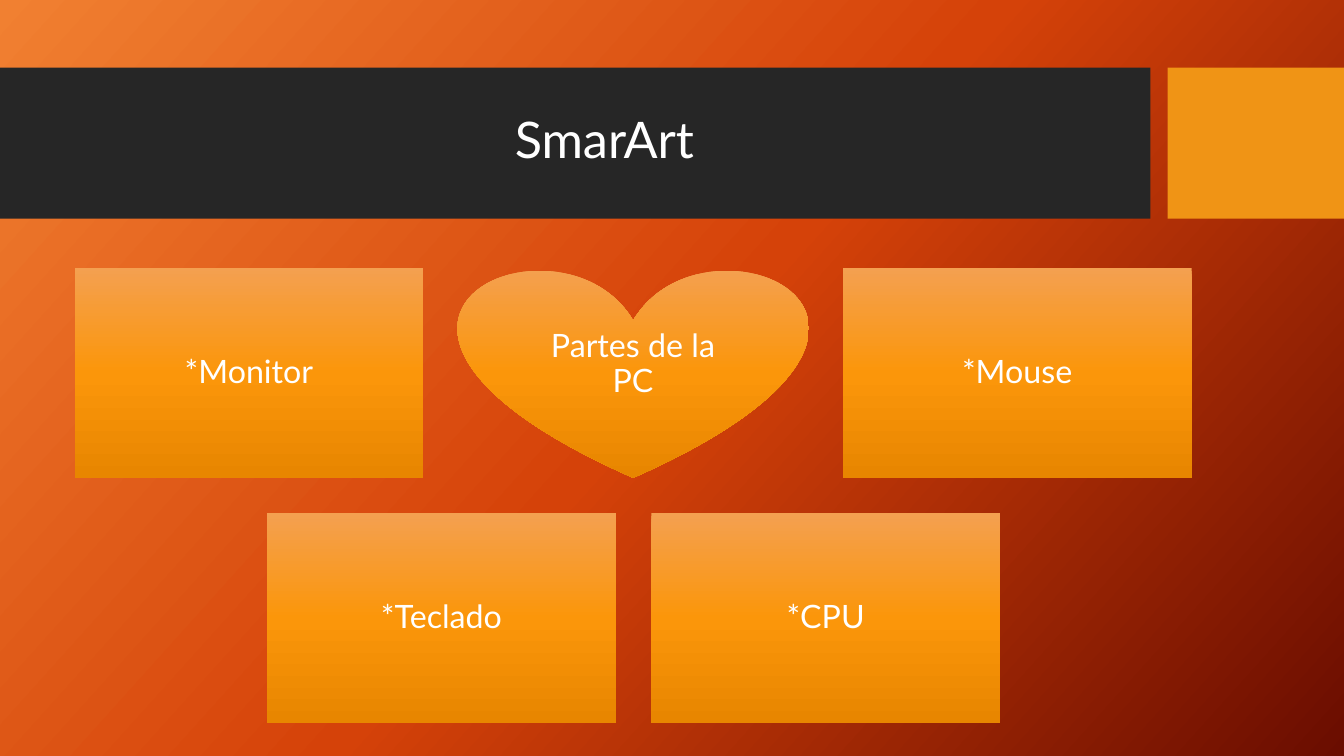
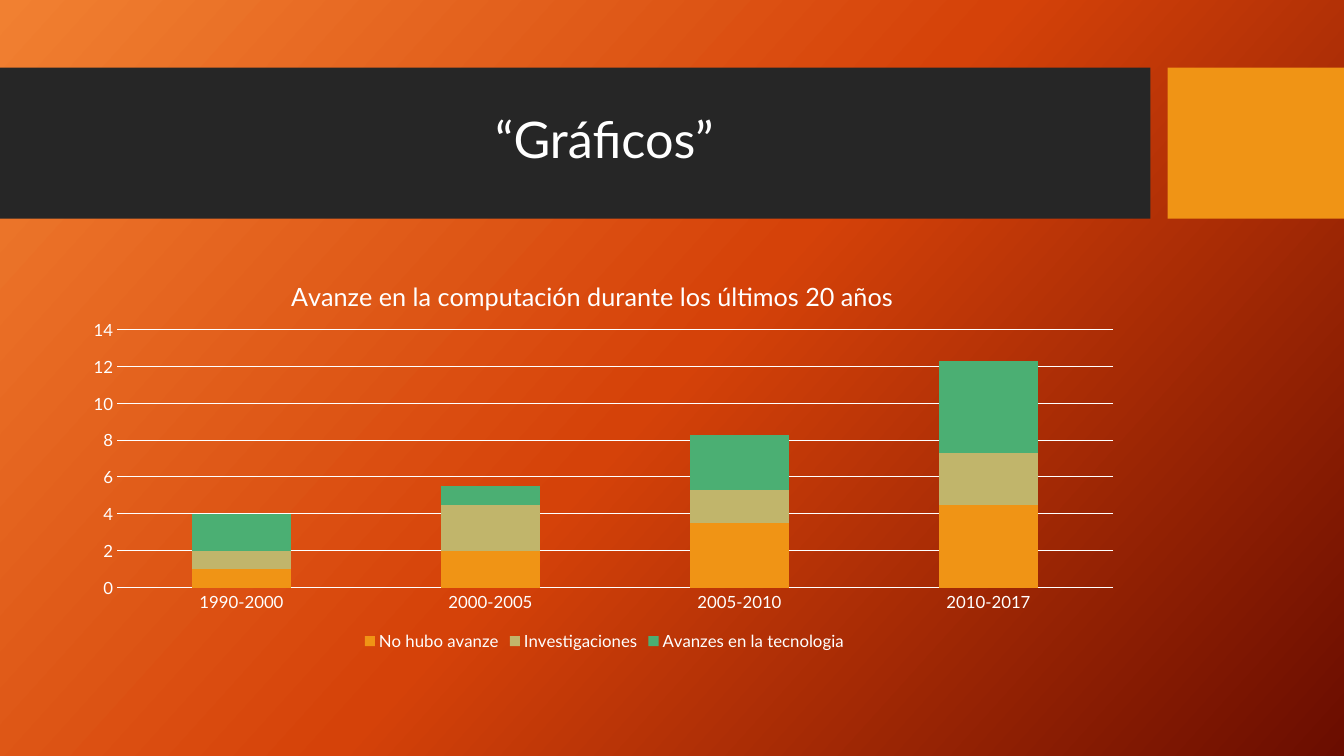
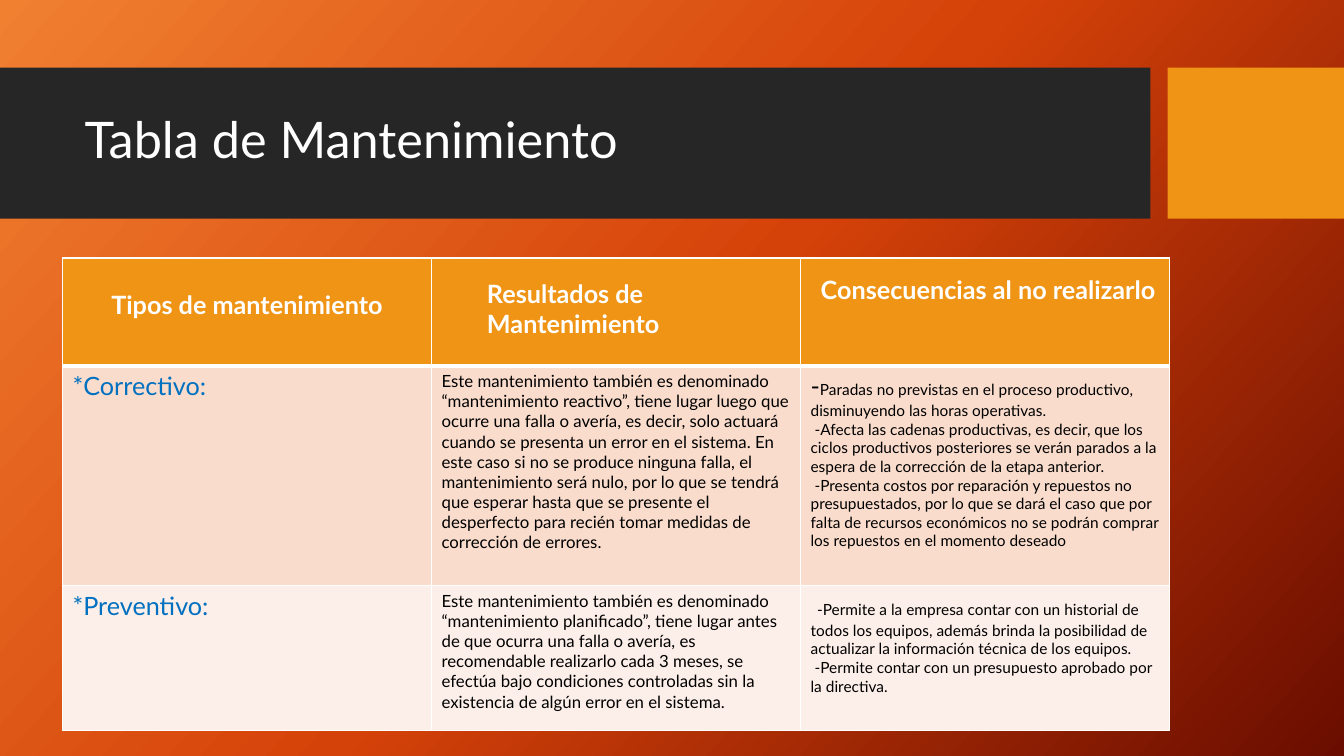
"""Build three slides on computer parts, progress in computing and maintenance."""
import dataclasses

import lxml.etree
import pptx
import pptx.chart.data
import pptx.dml.color
import pptx.enum.chart
import pptx.enum.shapes
import pptx.enum.text
import pptx.oxml.ns
import pptx.util

Inches = pptx.util.Inches
Pt = pptx.util.Pt
qn = pptx.oxml.ns.qn
SHAPE = pptx.enum.shapes.MSO_SHAPE
ALIGN = pptx.enum.text.PP_ALIGN
ANCHOR = pptx.enum.text.MSO_ANCHOR


@dataclasses.dataclass(frozen=True)
class Theme:
    font: str = "Lato"
    white: str = "FFFFFF"
    black: str = "000000"
    band: str = "262626"
    accent: str = "F09415"
    label: str = "0070C0"
    series: tuple = ("F09415", "C1B56B", "4BAF73")
    rows: tuple = ("F9DCCC", "FCEEE8")
    backdrop: tuple = ("F18031", "D54209", "6A0D00")
    card: tuple = ("F4A050", "FB960A", "E88600")
    title_size: float = 36
    card_size: float = 23
    heading_size: float = 18
    text_size: float = 12
    small_size: float = 11


def rgb(value):
    return pptx.dml.color.RGBColor.from_string(value)


def sub(parent, tag, **attrs):
    return lxml.etree.SubElement(parent, qn(tag), attrs)


class Deck:
    def __init__(self, theme):
        self.theme = theme
        self.prs = pptx.Presentation()
        self.prs.slide_width = Inches(13.33)
        self.prs.slide_height = Inches(7.5)
        self.layout = self.prs.slide_layouts[5]
        self.s = None
        self.set_layout()

    def set_layout(self):
        for ph in list(self.layout.placeholders):
            if ph.placeholder_format.idx:
                ph.element.getparent().remove(ph.element)
        title = self.layout.placeholders[0]
        title.left, title.top = Inches(0.74), Inches(0.82)
        title.width, title.height = Inches(10.51), Inches(1.18)
        title.text_frame.vertical_anchor = ANCHOR.MIDDLE
        self.gradient(self.layout.background.fill, self.layout, self.theme.backdrop, 42)

    def add_bands(self):
        bands = []
        for left, width, color in ((0, 11.41, self.theme.band), (11.58, 1.75, self.theme.accent)):
            sp = self.shape(SHAPE.RECTANGLE, left, 0.67, width, 1.5)
            sp.fill.solid()
            sp.fill.fore_color.rgb = rgb(color)
            bands.append(sp)
        for sp in bands:
            self.layout.shapes.element.insert(2, sp.element)

    def slide(self, title, align=ALIGN.CENTER):
        first = self.s is None
        self.s = self.prs.slides.add_slide(self.layout)
        if first:
            self.add_bands()
        self.text(self.s.shapes.title.text_frame, [[title]], self.theme.title_size,
                  align=align, spacing=0.9)

    def style(self, font, size, color=None, bold=False):
        font.name, font.size, font.bold = self.theme.font, Pt(size), bold
        font.color.rgb = rgb(color or self.theme.white)

    def text(self, tf, paragraphs, size, color=None, bold=False, align=ALIGN.LEFT, spacing=1.0):
        tf.word_wrap = True
        for i, runs in enumerate(paragraphs):
            p = tf.add_paragraph() if i else tf.paragraphs[0]
            p.alignment, p.line_spacing = align, spacing
            for run in runs:
                words, run_size = (run, size) if isinstance(run, str) else run
                r = p.add_run()
                r.text = words
                self.style(r.font, run_size, color, bold)

    def gradient(self, fill, owner, colors, angle):
        fill.gradient()
        fill.gradient_angle = 360 - angle
        stops = next(owner.element.iter(qn("a:gsLst")))
        for gs in list(stops):
            stops.remove(gs)
        for i, color in enumerate(colors):
            gs = sub(stops, "a:gs", pos=str(100000 * i // (len(colors) - 1)))
            sub(gs, "a:srgbClr", val=color)

    def shape(self, kind, left, top, width, height):
        sp = self.s.shapes.add_shape(kind, Inches(left), Inches(top), Inches(width), Inches(height))
        sp.shadow.inherit = False
        sp.line.fill.background()
        return sp

    def card(self, name, kind, left, top):
        sp = self.shape(kind, left, top, 3.46, 2.08)
        self.gradient(sp.fill, sp, self.theme.card, 90)
        tf = sp.text_frame
        tf.margin_left = tf.margin_right = tf.margin_top = tf.margin_bottom = Inches(0.1)
        tf.vertical_anchor = ANCHOR.MIDDLE
        self.text(tf, [[name]], self.theme.card_size, align=ALIGN.CENTER, spacing=0.9)

    def place(self, parent, index, target=None, **fractions):
        for old in parent.findall(qn("c:layout")):
            parent.remove(old)
        layout = parent.makeelement(qn("c:layout"))
        parent.insert(index, layout)
        manual = sub(layout, "c:manualLayout")
        if target:
            sub(manual, "c:layoutTarget", val=target)
        for mode in ("c:xMode", "c:yMode"):
            sub(manual, mode, val="edge")
        for name, value in fractions.items():
            sub(manual, "c:" + name, val=str(value))

    def chart(self, title, categories, series):
        theme = self.theme
        data = pptx.chart.data.CategoryChartData()
        data.categories = categories
        for name, values in series:
            data.add_series(name, values)
        chart = self.s.shapes.add_chart(
            pptx.enum.chart.XL_CHART_TYPE.COLUMN_STACKED,
            Inches(0.74), Inches(2.56), Inches(10.51), Inches(3.94), data).chart
        self.style(chart.font, theme.text_size)
        chart.has_title = True
        self.text(chart.chart_title.text_frame, [[title]], theme.heading_size, align=ALIGN.CENTER)
        self.place(chart.element.find(".//" + qn("c:title")), 1, x=0.2, y=0.04)
        self.place(chart.element.find(".//" + qn("c:plotArea")), 0, "inner",
                   x=0.04, y=0.18, w=0.94, h=0.65)
        chart.has_legend = True
        chart.legend.position = pptx.enum.chart.XL_LEGEND_POSITION.BOTTOM
        chart.legend.include_in_layout = False
        self.style(chart.legend.font, theme.text_size)
        plot = chart.plots[0]
        plot.gap_width, plot.overlap, plot.vary_by_categories = 150, 100, False
        for ser, color in zip(plot.series, theme.series):
            ser.format.fill.solid()
            ser.format.fill.fore_color.rgb = rgb(color)
        for axis in (chart.category_axis, chart.value_axis):
            axis.major_tick_mark = axis.minor_tick_mark = pptx.enum.chart.XL_TICK_MARK.NONE
            self.style(axis.tick_labels.font, theme.text_size)
        chart.value_axis.has_major_gridlines = True
        chart.value_axis.format.line.fill.background()
        for part in (chart.category_axis, chart.value_axis.major_gridlines):
            part.format.line.color.rgb = rgb(theme.white)
            part.format.line.width = Pt(0.75)

    def cell(self, cell, fill, top=1, bottom=1):
        tcPr = cell._tc.get_or_add_tcPr()
        for side, width in (("L", 1), ("R", 1), ("T", top), ("B", bottom)):
            ln = sub(tcPr, "a:ln" + side, w=str(Pt(width)))
            sub(sub(ln, "a:solidFill"), "a:srgbClr", val=self.theme.white)
        cell.fill.solid()
        cell.fill.fore_color.rgb = rgb(fill)

    def table(self, headings, rows, heights):
        theme = self.theme
        table = self.s.shapes.add_table(
            len(rows) + 1, len(headings), Inches(0.62), Inches(2.56),
            Inches(3.66 * len(headings)), Inches(sum(heights))).table
        for column in table.columns:
            column.width = Inches(3.66)
        for row, height in zip(table.rows, heights):
            row.height = Inches(height)
        for cell, (heading, align, left, top) in zip(table.rows[0].cells, headings):
            self.cell(cell, theme.accent, bottom=3)
            cell.margin_left, cell.margin_top = Inches(left), Inches(top)
            self.text(cell.text_frame, [[heading]], theme.heading_size, bold=True, align=align)
        styles = ((theme.heading_size, theme.label), (theme.text_size, theme.black),
                  (theme.small_size, theme.black))
        for i, (texts, fill) in enumerate(zip(rows, theme.rows), 1):
            for cell, paragraphs, (size, color) in zip(table.rows[i].cells, texts, styles):
                self.cell(cell, fill, top=3 if i == 1 else 1)
                self.text(cell.text_frame, paragraphs, size, color)


theme = Theme()
deck = Deck(theme)

deck.slide("SmarArt")
card_rows = (
    (0.74, ("*Monitor", "Partes de la PC", "*Mouse")),
    (2.65, ("*Teclado", "*CPU")),
)
for row, (left, names) in enumerate(card_rows):
    for column, name in enumerate(names):
        kind = SHAPE.RECTANGLE if name.startswith("*") else SHAPE.HEART
        deck.card(name, kind, left + 3.81 * column, 2.66 + 2.43 * row)

deck.slide("“Gráficos”")
deck.chart(
    "Avanze en la computación durante los últimos 20 años",
    ("1990-2000", "2000-2005", "2005-2010", "2010-2017"),
    (
        ("No hubo avanze", (1, 2, 3.5, 4.5)),
        ("Investigaciones", (1, 2.5, 1.8, 2.8)),
        ("Avanzes en la tecnologia", (2, 1, 3, 5)),
    ),
)

deck.slide("Tabla de Mantenimiento", ALIGN.LEFT)
deck.table(
    (
        ("Tipos de mantenimiento", ALIGN.CENTER, 0.1, 0.31),
        ("Resultados de Mantenimiento", ALIGN.LEFT, 0.55, 0.2),
        ("Consecuencias al no realizarlo", ALIGN.LEFT, 0.2, 0.16),
    ),
    (
        (
            [["*Correctivo:"]],
            [["Este mantenimiento también es denominado “mantenimiento reactivo”, tiene lugar "
              "luego que ocurre una falla o avería, es decir, solo actuará cuando se presenta un "
              "error en el sistema. En este caso si no se produce ninguna falla, el mantenimiento "
              "será nulo, por lo que se tendrá que esperar hasta que se presente el desperfecto "
              "para recién tomar medidas de corrección de errores."]],
            [[("-", theme.heading_size),
              "Paradas no previstas en el proceso productivo, disminuyendo las horas operativas."],
             ["\u00a0-Afecta las cadenas productivas, es decir, que los ciclos productivos "
              "posteriores se verán parados a la espera de la corrección de la etapa anterior."],
             ["\u00a0-Presenta costos por reparación y repuestos no presupuestados, por lo que se "
              "dará el caso que por falta de recursos económicos no se podrán comprar los "
              "repuestos en el momento deseado"]],
        ),
        (
            [["*Preventivo:"]],
            [["Este mantenimiento también es denominado “mantenimiento planificado”, tiene lugar "
              "antes de que ocurra una falla o avería, es recomendable realizarlo cada 3 meses, "
              "se efectúa bajo condiciones controladas sin la existencia de algún error en el "
              "sistema."]],
            [[("\u00a0", theme.heading_size),
              "-Permite a la empresa contar con un historial de todos los equipos, además brinda "
              "la posibilidad de actualizar la información técnica de los equipos."],
             ["\u00a0-Permite contar con un presupuesto aprobado por la directiva."]],
        ),
    ),
    (1.07, 2.18, 1.44),
)

deck.prs.save("out.pptx")
